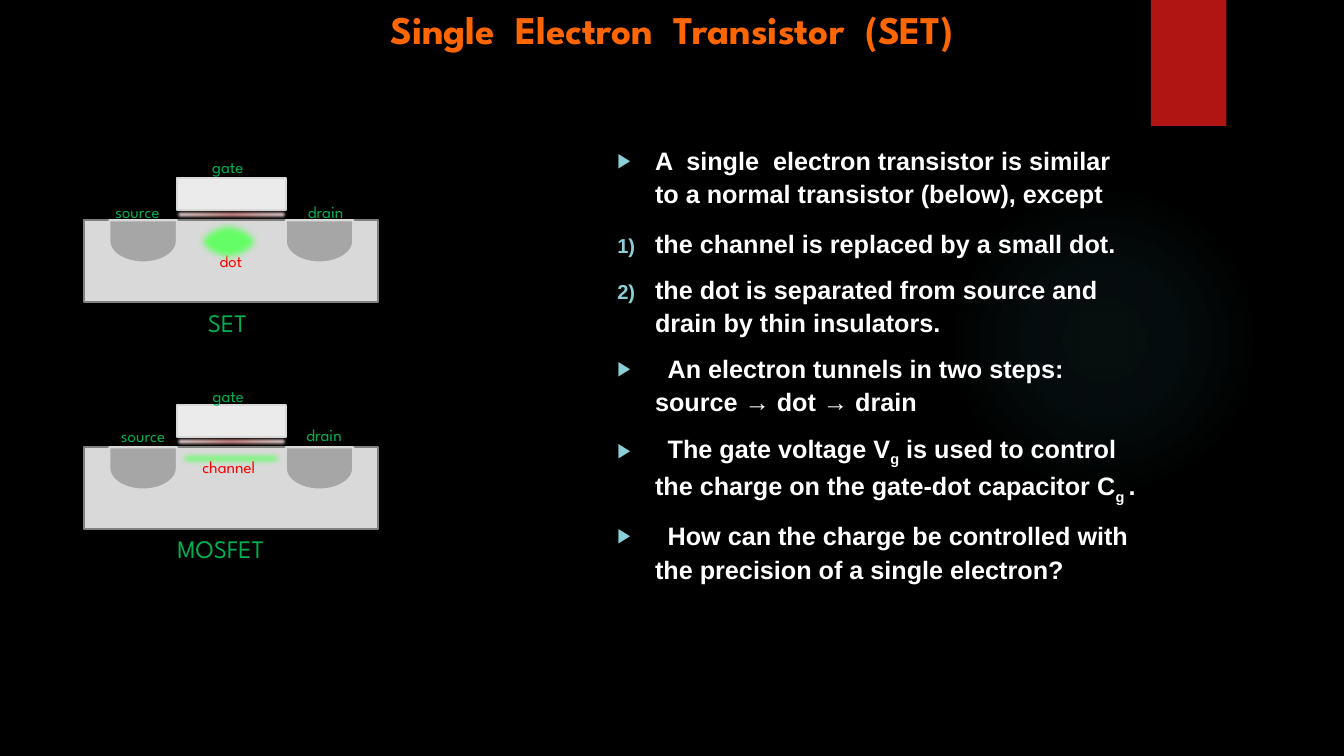
"""Build the slide that compares a single electron transistor with a MOSFET."""
from lxml.etree import SubElement
from pptx import Presentation
from pptx.dml.color import RGBColor
from pptx.enum.shapes import MSO_SHAPE
from pptx.enum.text import MSO_ANCHOR, MSO_AUTO_SIZE, PP_ALIGN
from pptx.oxml import parse_xml
from pptx.oxml.ns import nsdecls, qn
from pptx.util import Pt

BLACK = RGBColor(0x00, 0x00, 0x00)
WHITE = RGBColor(0xFF, 0xFF, 0xFF)
ORANGE = RGBColor(0xFF, 0x66, 0x00)
CRIMSON = RGBColor(0xB0, 0x15, 0x13)
RED = RGBColor(0xFF, 0x00, 0x00)
GREEN = RGBColor(0x00, 0xB0, 0x50)
LIME = RGBColor(0x66, 0xFF, 0x66)
TEAL = RGBColor(0x50, 0xB9, 0xC1)
AQUA = RGBColor(0x8A, 0xD0, 0xD6)
SUBSTRATE = RGBColor(0xD9, 0xD9, 0xD9)
OUTLINE = RGBColor(0x80, 0x80, 0x80)
TERMINAL = RGBColor(0xA6, 0xA6, 0xA6)
GATE = RGBColor(0xEB, 0xEB, 0xEB)
ROSE = RGBColor(0xDE, 0x92, 0x92)
BLUSH = RGBColor(0xE8, 0xBE, 0xBE)
PALE_ROSE = RGBColor(0xF3, 0xDF, 0xDF)

HEADING_FONT = "League Spartan"
BODY_FONT = "Arial"
TITLE = "Single  Electron  Transistor  (SET)"
ARROW, NUMBER = "arrow", "number"
POINTS = [
    (ARROW, 9, ["A  single  electron transistor is similar to a normal transistor (below), except"]),
    (NUMBER, 12, ["the channel is replaced by a small dot."]),
    (NUMBER, 9, ["the dot is separated from source and drain by thin insulators."]),
    (ARROW, 9, ["\tAn electron tunnels in two steps:", "\n", "source → dot → drain"]),
    (ARROW, 9, ["\tThe gate voltage V", "_g", " is used to control the charge on the gate-dot capacitor C",
                "_g ", "."]),
    (ARROW, 9, ["\tHow can the charge be controlled with the precision of a single electron?"]),
]
DEVICE_TOPS = {"SET": 157, "MOSFET": 319.2}
LABELS = [
    ("gate", 162.7, 108.4, 12, GREEN),
    ("source", 98.2, 140.4, 12, GREEN),
    ("drain", 232.6, 140.4, 12, GREEN),
    ("SET", 162.4, 216, 18, GREEN),
    ("gate", 163.1, 272.2, 12, GREEN),
    ("source", 102.2, 300.4, 12, GREEN),
    ("drain", 231.5, 300.2, 12, GREEN),
    ("channel", 163.4, 322.6, 12, RED),
    ("MOSFET", 157.7, 377.3, 18, GREEN),
]


def add_span(para, text, size=12, font=HEADING_FONT, color=GREEN, bold=False, subscript=False):
    """Add one formatted run to a paragraph."""
    span = para.add_run()
    span.text = text
    span.font.size = Pt(size)
    span.font.name = font
    span.font.bold = bold
    span.font.color.rgb = color
    if subscript:
        span._r.get_or_add_rPr().set("baseline", "-25000")


def add_box(page, kind, left, top, width, height, fill=None, line=None, rotation=0, soft=0):
    """Add a preset shape with plain formatting and optional soft edges."""
    box = page.shapes.add_shape(kind, Pt(left), Pt(top), Pt(width), Pt(height))
    box.shadow.inherit = False
    box.rotation = rotation
    if fill is not None:
        box.fill.solid()
        box.fill.fore_color.rgb = fill
    if line is None:
        box.line.fill.background()
    else:
        box.line.color.rgb = line
        box.line.width = Pt(1.5)
    if soft:
        effects = box._element.spPr.find(qn("a:effectLst"))
        SubElement(effects, qn("a:softEdge"), rad=str(Pt(soft)))
    return box


def fill_radial(box, stops):
    """Give a shape a circular gradient of (position, colour, opacity) stops."""
    marks = "".join(
        f'<a:gs pos="{position * 1000}"><a:srgbClr val="{color}">'
        f'<a:alpha val="{opacity * 1000}"/></a:srgbClr></a:gs>'
        for position, color, opacity in stops)
    gradient = parse_xml(
        f'<a:gradFill {nsdecls("a")} rotWithShape="1"><a:gsLst>{marks}</a:gsLst><a:path path="circle">'
        '<a:fillToRect l="50000" t="50000" r="50000" b="50000"/></a:path></a:gradFill>')
    box._element.spPr.find(qn("a:prstGeom")).addnext(gradient)


def add_device(page, name, top):
    """Draw one transistor cross-section whose substrate starts at top."""
    substrate = add_box(page, MSO_SHAPE.RECTANGLE, 60, top, 210, 59, SUBSTRATE, OUTLINE)
    for left in (87.1, 213.1):
        add_box(page, MSO_SHAPE.FLOWCHART_DELAY, left, top - 8.7, 30.2, 48.2, TERMINAL, SUBSTRATE, rotation=90)
    if name == "SET":
        frame = substrate.text_frame
        frame.vertical_anchor = MSO_ANCHOR.MIDDLE
        frame.paragraphs[0].alignment = PP_ALIGN.CENTER
        add_span(frame.paragraphs[0], "dot", color=RED)
        add_box(page, MSO_SHAPE.FLOWCHART_CONNECTOR, 138.6, top - 0.4, 49, 31.8, LIME, soft=5)
    else:
        add_box(page, MSO_SHAPE.RECTANGLE, 125.2, top + 0.4, 79.6, 16, LIME, soft=5)
    add_box(page, MSO_SHAPE.RECTANGLE, 126.2, top - 29.9, 78, 23, GATE, SUBSTRATE)
    insulator = add_box(page, MSO_SHAPE.RECTANGLE, 124.8, top - 8.2, 81, 8.8, soft=2.5)
    fill_radial(insulator, [(0, ROSE, 100), (50, BLUSH, 100), (100, PALE_ROSE, 100)])


def add_label(page, text, center, top, size, color):
    """Add an unwrapped label centred on a horizontal position."""
    width, height = 120, size * 1.8
    box = page.shapes.add_textbox(Pt(center - width / 2), Pt(top), Pt(width), Pt(height))
    box.text_frame.word_wrap = False
    para = box.text_frame.paragraphs[0]
    para.alignment = PP_ALIGN.CENTER
    add_span(para, text, size=size, color=color)


def set_bullet(para, kind):
    """Give a paragraph its hanging indent, tab stop and bullet."""
    properties = para._p.get_or_add_pPr()
    properties.set("marL", str(Pt(27)))
    properties.set("indent", str(Pt(-27)))
    color = SubElement(properties, qn("a:buClr"))
    SubElement(color, qn("a:srgbClr"), val=str(AQUA))
    SubElement(properties, qn("a:buSzPct"), val="80000")
    SubElement(properties, qn("a:buFont"), typeface=BODY_FONT)
    if kind == NUMBER:
        SubElement(properties, qn("a:buAutoNum"), type="arabicParenR")
    else:
        SubElement(properties, qn("a:buChar"), char="▶")
    tabs = SubElement(properties, qn("a:tabLst"))
    SubElement(tabs, qn("a:tab"), pos=str(Pt(36)), algn="l")


def place(box, left, top, width, height):
    """Move a placeholder and return its top-anchored, wrapped text frame."""
    box.left, box.top, box.width, box.height = Pt(left), Pt(top), Pt(width), Pt(height)
    frame = box.text_frame
    frame.word_wrap = True
    frame.auto_size = MSO_AUTO_SIZE.NONE
    frame.vertical_anchor = MSO_ANCHOR.TOP
    return frame


def add_points(frame):
    """Write the list of points into the body frame."""
    for index, (kind, gap, parts) in enumerate(POINTS):
        para = frame.add_paragraph() if index else frame.paragraphs[0]
        para.line_spacing = 1.1
        para.space_before = Pt(gap)
        set_bullet(para, kind)
        for part in parts:
            if part == "\n":
                para.add_line_break()
            else:
                add_span(para, part.removeprefix("_"), size=18, font=BODY_FONT, color=WHITE,
                         bold=True, subscript=part.startswith("_"))


def main():
    """Assemble the slide and save the deck."""
    deck = Presentation()
    deck.slide_width, deck.slide_height = Pt(960), Pt(540)
    page = deck.slides.add_slide(deck.slide_layouts[1])
    page.background.fill.solid()
    page.background.fill.fore_color.rgb = BLACK

    glow = add_box(page, MSO_SHAPE.OVAL, 677.5, 131.8, 221.8, 221.8)
    fill_radial(glow, [(0, TEAL, 7), (36, TEAL, 6), (69, TEAL, 0)])
    ribbon = add_box(page, MSO_SHAPE.RECTANGLE, 822, 0, 54, 90, CRIMSON)
    for backdrop in (ribbon, glow):
        page.shapes._spTree.insert(2, backdrop._element)

    heading = place(page.shapes.title, 109.8, 0, 740.2, 33.8).paragraphs[0]
    heading.alignment = PP_ALIGN.CENTER
    add_span(heading, TITLE, size=28, color=ORANGE, bold=True)
    add_points(place(page.placeholders[1], 433.7, 97.9, 387.4, 370))

    for name, top in DEVICE_TOPS.items():
        add_device(page, name, top)
    for label in LABELS:
        add_label(page, *label)
    deck.save("out.pptx")


if __name__ == "__main__":
    main()
